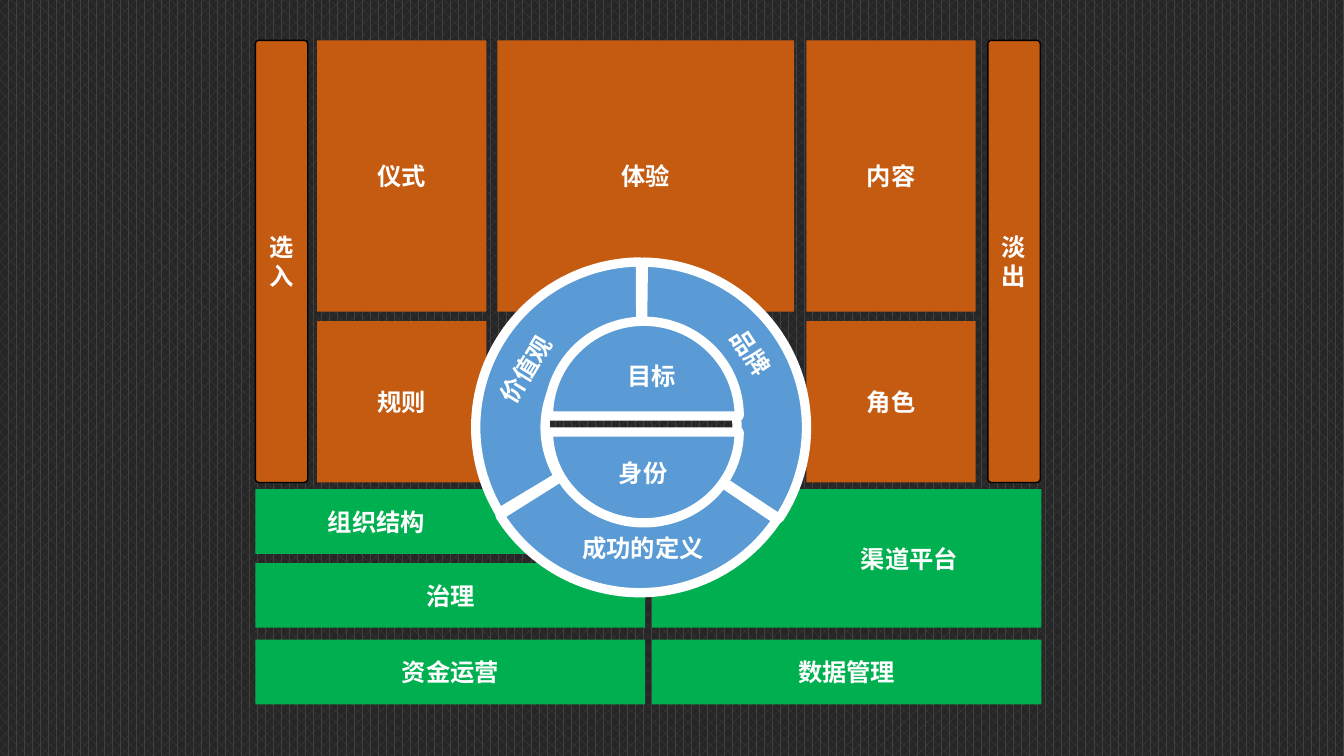
from dataclasses import dataclass

from lxml.etree import SubElement
from pptx import Presentation
from pptx.dml.color import RGBColor
from pptx.enum.dml import MSO_PATTERN
from pptx.enum.shapes import MSO_SHAPE
from pptx.enum.text import MSO_ANCHOR, PP_ALIGN
from pptx.oxml.ns import qn
from pptx.util import Pt


@dataclass(frozen=True)
class Theme:
    experience: str = "C55A11"
    operations: str = "00B050"
    core: str = "5B9BD5"
    white: str = "FFFFFF"
    black: str = "000000"
    stripe: str = "404040"
    ground: str = "262626"
    font: str = "Noto Sans CJK SC"
    size: float = 13
    outline: float = 0.75
    ring_line: float = 5


theme = Theme()

# Grid: (start, length) of columns and rows, in points
COLUMNS = {
    "entry": (136.8, 28.1), "left": (169.9, 90.7), "middle": (266.4, 159.1),
    "right": (432, 90.7), "exit": (529.2, 28.1),
    "west": (136.8, 208.8), "east": (349.2, 208.8),
    "structure": (136.8, 129.6), "platform": (416.2, 141.8),
}
ROWS = {
    "full": (21.6, 236.9), "top": (21.6, 145.4), "lower": (172.1, 86.4),
    "first": (262.1, 34.6), "second": (301.7, 34.6), "third": (342.7, 34.6),
    "double": (262.1, 74.2),
}

# Content: text, panel column, row, label column
SIDES = [("选入", "entry", "full", "entry"), ("淡出", "exit", "full", "exit")]
EXPERIENCE = [
    ("仪式", "left", "top", "left"), ("体验", "middle", "top", "middle"),
    ("内容", "right", "top", "right"), ("规则", "left", "lower", "left"),
    ("角色", "right", "lower", "right"),
]
OPERATIONS = [
    ("组织结构", "west", "first", "structure"), ("渠道平台", "east", "double", "platform"),
    ("治理", "west", "second", "west"), ("资金运营", "west", "third", "west"),
    ("数据管理", "east", "third", "east"),
]
# Shape, frame, rotation, adjustments
CORE = [
    (MSO_SHAPE.BLOCK_ARC, (254.9, 140.4, 177.1, 177.1), 0, (89.39, 161.9, 0.21)),
    (MSO_SHAPE.BLOCK_ARC, (254.9, 140.4, 177.1, 177.1), 121.6, (89.49, 163.12, 0.21)),
    (MSO_SHAPE.BLOCK_ARC, (254.2, 140.4, 177.1, 177.1), 239.8, (92.51, 160.84, 0.22)),
    (MSO_SHAPE.PIE, (293.8, 182.9, 102.2, 97.2), 0, (0, 108)),
    (MSO_SHAPE.PIE, (293.8, 172.1, 102.2, 101.5), 180, (0, 108)),
]
# Text, frame, rotation
CORE_LABELS = [
    ("价值观", (236.2, 182.9, 90.7, 30.2), 301.4),
    ("品牌", (357.1, 173.5, 90.7, 30.2), 56.8),
    ("成功的定义", (273.6, 275, 141.8, 37.4), 0),
    ("身份", (293, 234.7, 103, 37.4), 0),
    ("目标", (297.4, 182.9, 103, 37.4), 0),
]


def frame_of(column, row):
    (left, width), (top, height) = COLUMNS[column], ROWS[row]
    return left, top, width, height


def add_part(page, kind, frame, fill, line=None, weight=0, rotation=0, adjustments=()):
    part = page.shapes.add_shape(kind, *map(Pt, frame))
    part.shadow.inherit = False
    part.rotation = rotation
    for index, value in enumerate(adjustments):
        part.adjustments[index] = value
    part.fill.solid()
    part.fill.fore_color.rgb = RGBColor.from_string(fill)
    if line:
        part.line.color.rgb = RGBColor.from_string(line)
        part.line.width = Pt(weight)
    else:
        part.line.fill.background()


def add_label(page, text, frame, rotation=0):
    box = page.shapes.add_textbox(*map(Pt, frame))
    box.rotation = rotation
    box.text_frame.word_wrap = True
    box.text_frame.vertical_anchor = MSO_ANCHOR.MIDDLE
    box.text_frame.text = text
    para = box.text_frame.paragraphs[0]
    para.alignment = PP_ALIGN.CENTER
    font = para.runs[0].font
    font.name, font.size, font.bold = theme.font, Pt(theme.size), True
    font.color.rgb = RGBColor.from_string(theme.white)
    east_asian = SubElement(para.runs[0]._r.get_or_add_rPr(), qn("a:ea"))
    east_asian.set("typeface", theme.font)


deck = Presentation()
deck.slide_width, deck.slide_height = Pt(720), Pt(405)
page = deck.slides.add_slide(deck.slide_layouts[6])

# Striped background
ground = page.background.fill
ground.patterned()
ground.pattern = MSO_PATTERN.PERCENT_60
ground.fore_color.rgb = RGBColor.from_string(theme.stripe)
ground.back_color.rgb = RGBColor.from_string(theme.ground)

# Panels
for text, column, row, label_column in SIDES:
    add_part(page, MSO_SHAPE.ROUNDED_RECTANGLE, frame_of(column, row), theme.experience,
             theme.black, theme.outline, adjustments=(0.07,))
for panels, color in ((EXPERIENCE, theme.experience), (OPERATIONS, theme.operations)):
    for text, column, row, label_column in panels:
        add_part(page, MSO_SHAPE.RECTANGLE, frame_of(column, row), color)

# Ring and its two half discs
for kind, frame, rotation, adjustments in CORE:
    add_part(page, kind, frame, theme.core, theme.white, theme.ring_line,
             rotation, adjustments)

# Labels
for text, column, row, label_column in SIDES + EXPERIENCE + OPERATIONS:
    add_label(page, text, frame_of(label_column, row))
for text, frame, rotation in CORE_LABELS:
    add_label(page, text, frame, rotation)

deck.save("out.pptx")
